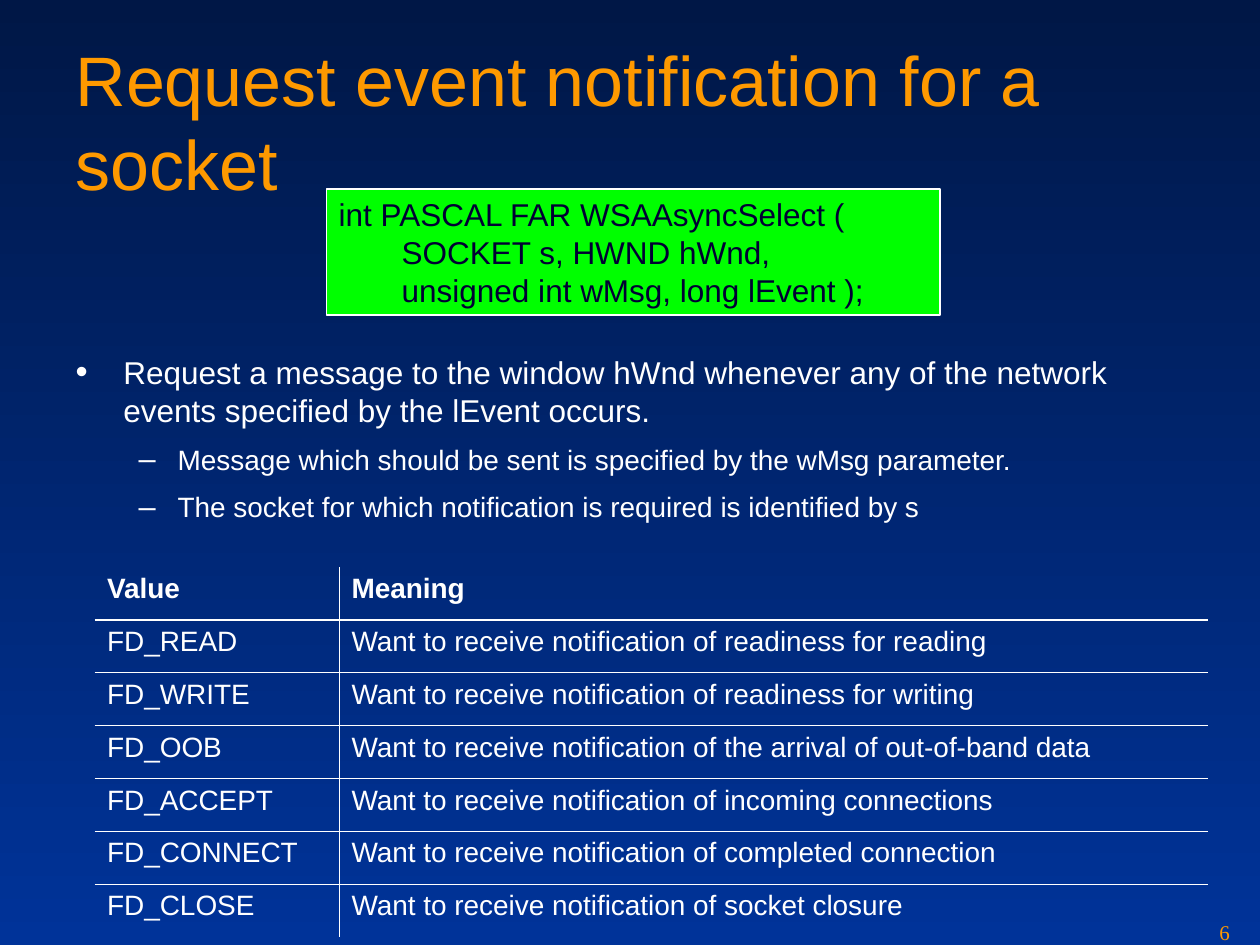
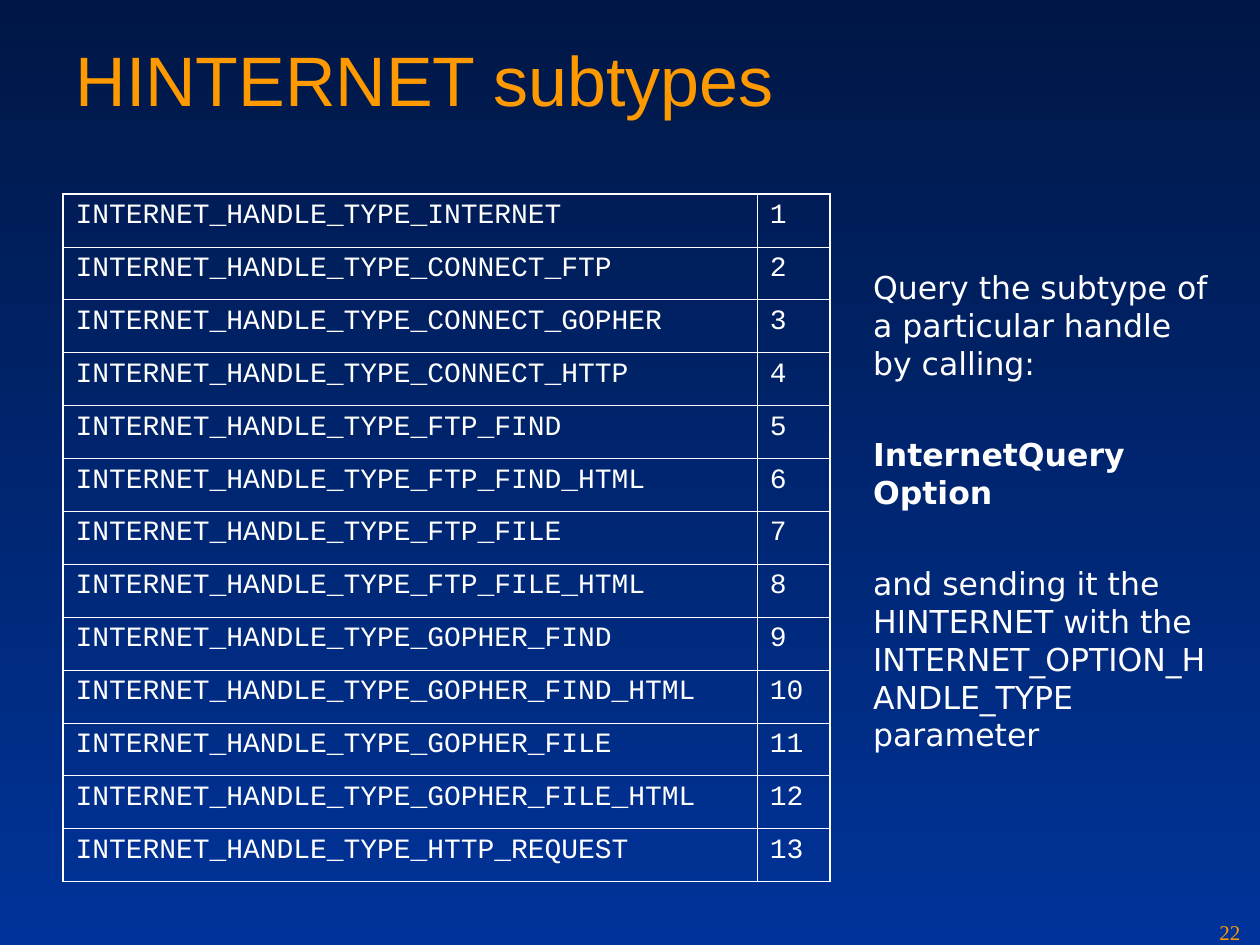
from lxml.etree import SubElement
from pptx import Presentation
from pptx.dml.color import RGBColor
from pptx.enum.shapes import MSO_SHAPE as SHAPE
from pptx.enum.text import MSO_ANCHOR as ANCHOR, MSO_AUTO_SIZE as AUTO, PP_ALIGN as ALIGN
from pptx.oxml.ns import qn
from pptx.util import Inches, Pt

COLORS = {
    "top": "001746",
    "bottom": "003399",
    "title": "FE9900",
    "text": "FFFFFF",
    "code_fill": "00FF00",
    "code_text": "000033",
}
EVENTS = [
    ("Value", "Meaning"),
    ("FD_READ", "Want to receive notification of readiness for reading"),
    ("FD_WRITE", "Want to receive notification of readiness for writing"),
    ("FD_OOB", "Want to receive notification of the arrival of out-of-band data"),
    ("FD_ACCEPT", "Want to receive notification of incoming connections"),
    ("FD_CONNECT", "Want to receive notification of completed connection"),
    ("FD_CLOSE", "Want to receive notification of socket closure"),
]
HANDLE_TYPES = [
    "INTERNET", "CONNECT_FTP", "CONNECT_GOPHER", "CONNECT_HTTP",
    "FTP_FIND", "FTP_FIND_HTML", "FTP_FILE", "FTP_FILE_HTML",
    "GOPHER_FIND", "GOPHER_FIND_HTML", "GOPHER_FILE", "GOPHER_FILE_HTML",
    "HTTP_REQUEST",
]
ROW_HEIGHT = 0.42


def rgb(name):
    return RGBColor.from_string(COLORS[name])


def set_attrs(obj, values):
    for name, value in values.items():
        setattr(obj, name, value)


class Deck:
    def __init__(self):
        self.prs = Presentation()
        set_attrs(self.prs, {"slide_width": Inches(10), "slide_height": Inches(7.5)})
        fill = self.prs.slide_master.background.fill
        fill.gradient()
        fill.gradient_angle = 270
        for stop, name in zip(fill.gradient_stops, ("top", "bottom")):
            stop.color.rgb = rgb(name)

    def slide(self, title, number):
        """Start a slide with its title and its number in the corner."""
        self.s = self.prs.slides.add_slide(self.prs.slide_layouts[1])
        self.place(self.s.shapes.title, 0.5, 0.24, 9, 1.25)
        self.add_lines(self.s.shapes.title.text_frame, [title], size=40, color="title")
        box = self.s.shapes.add_textbox(
            Inches(9.58), Inches(7.25), Inches(0.42), Inches(0.25))
        self.add_lines(box.text_frame, [str(number)], size=12,
                       font="Times New Roman", color="title")

    def place(self, sp, left, top, width, height):
        box = zip(("left", "top", "width", "height"), (left, top, width, height))
        set_attrs(sp, {name: Inches(value) for name, value in box})

    def frame(self, tf, wrap=True):
        set_attrs(tf, {"word_wrap": wrap, "auto_size": AUTO.NONE,
                       "vertical_anchor": ANCHOR.TOP})

    def next_paragraph(self, tf, i):
        return tf.add_paragraph() if i else tf.paragraphs[0]

    def add_lines(self, tf, lines, wrap=True, **style):
        self.frame(tf, wrap)
        for i, line in enumerate(lines):
            self.paragraph(self.next_paragraph(tf, i), line, **style)

    def paragraph(self, p, text, size=18, font="Arial", color="text",
                  bold=False, before=0, after=0):
        p.text = text
        set_attrs(p, {"alignment": ALIGN.LEFT, "line_spacing": 1.0,
                      "space_before": Pt(before), "space_after": Pt(after)})
        for r in p.runs:
            set_attrs(r.font, {"size": Pt(size), "name": font, "bold": bold})
            r.font.color.rgb = rgb(color)

    def body(self, *box):
        sp = self.s.placeholders[1]
        self.place(sp, *box)
        self.frame(sp.text_frame)
        return sp.text_frame

    def indent(self, p, margin, hanging):
        pPr = p._p.get_or_add_pPr()
        pPr.set("marL", str(Inches(margin)))
        pPr.set("indent", str(-Inches(hanging)))
        return pPr

    def bullets(self, items, *box):
        """Fill the body with (level, text) items."""
        tf = self.body(*box)
        formats = [(18, 0.38, 0.38, "•"), (16, 0.81, 0.31, "–")]
        for i, (level, text) in enumerate(items):
            p = self.next_paragraph(tf, i)
            size, margin, hanging, mark = formats[level]
            p.level = level
            self.paragraph(p, text, size=size, before=4, after=4)
            pPr = self.indent(p, margin, hanging)
            color = SubElement(pPr, qn("a:buClr"))
            SubElement(color, qn("a:srgbClr"), val=COLORS["text"])
            SubElement(pPr, qn("a:buSzPct"), val="110000")
            SubElement(pPr, qn("a:buChar"), char=mark)

    def plain_body(self, items, gap, *box):
        """Fill the body with unbulleted (text, bold) items."""
        tf = self.body(*box)
        for i, (text, bold) in enumerate(items):
            p = self.next_paragraph(tf, i)
            self.paragraph(p, text, font="DejaVu Sans", bold=bold, after=gap)
            SubElement(self.indent(p, 0, 0), qn("a:buNone"))

    def code(self, lines, *box):
        sp = self.s.shapes.add_shape(SHAPE.RECTANGLE, *map(Inches, box))
        sp.shadow.inherit = False
        sp.fill.solid()
        sp.fill.fore_color.rgb = rgb("code_fill")
        sp.line.color.rgb = rgb("text")
        sp.line.width = Pt(0.75)
        self.add_lines(sp.text_frame, lines, wrap=False, color="code_text")

    def border(self, cell, side, width):
        tcPr = cell._tc.get_or_add_tcPr()
        ln = SubElement(tcPr, qn("a:ln" + side), w=str(Pt(width)))
        if width:
            fill = SubElement(ln, qn("a:solidFill"))
            SubElement(fill, qn("a:srgbClr"), val=COLORS["text"])
        else:
            SubElement(ln, qn("a:noFill"))

    def table(self, rows, left, top, widths, font="Arial", outer=0, header=None):
        """Draw a ruled table; header is the width of the rule below a bold first row."""
        inner = 0.45
        n_rows, n_cols = len(rows), len(widths)
        table = self.s.shapes.add_table(
            n_rows, n_cols, Inches(left), Inches(top),
            Inches(sum(widths)), Inches(ROW_HEIGHT * n_rows)).table
        set_attrs(table, {"first_row": False, "horz_banding": False})
        for column, width in zip(table.columns, widths):
            column.width = Inches(width)
        row_rules = [outer] + [inner] * (n_rows - 1) + [outer]
        column_rules = [outer] + [inner] * (n_cols - 1) + [outer]
        if header:
            row_rules[1] = header
        for i, row in enumerate(rows):
            table.rows[i].height = Inches(ROW_HEIGHT)
            for j, text in enumerate(row):
                cell = table.cell(i, j)
                self.paragraph(cell.text_frame.paragraphs[0], text, size=16,
                               font=font, bold=bool(header) and i == 0,
                               before=4, after=4)
                rules = {"L": column_rules[j], "R": column_rules[j + 1],
                         "T": row_rules[i], "B": row_rules[i + 1]}
                for side, width in rules.items():
                    self.border(cell, side, width)
                cell.fill.background()


def main():
    deck = Deck()

    deck.slide("Request event notification for a socket", 6)
    deck.bullets([
        (0, "Request a message to the window hWnd whenever any of the network "
            "events specified by the lEvent occurs."),
        (1, "Message which should be sent is specified by the wMsg parameter."),
        (1, "The socket for which notification is required is identified by s"),
    ], 0.5, 2.75, 9, 1.58)
    deck.code([
        "int PASCAL FAR WSAAsyncSelect (",
        "\tSOCKET s, HWND hWnd,",
        "\tunsigned int wMsg, long lEvent );",
    ], 2.59, 1.5, 4.87, 1)
    deck.table(EVENTS, 0.75, 4.5, (1.94, 6.9), header=1.47)

    deck.slide("HINTERNET subtypes", 22)
    deck.plain_body([
        ("Query the subtype of a particular handle by calling:", False),
        ("InternetQuery\vOption", True),
        ("and sending it the HINTERNET with the "
         "INTERNET_OPTION_HANDLE_TYPE parameter", False),
    ], 30.5, 6.83, 2.08, 2.92, 4.83)
    handles = [("INTERNET_HANDLE_TYPE_" + name, str(value))
               for value, name in enumerate(HANDLE_TYPES, 1)]
    deck.table(handles, 0.5, 1.54, (5.51, 0.58), font="Courier New", outer=1.08)

    deck.prs.save("out.pptx")


if __name__ == "__main__":
    main()
